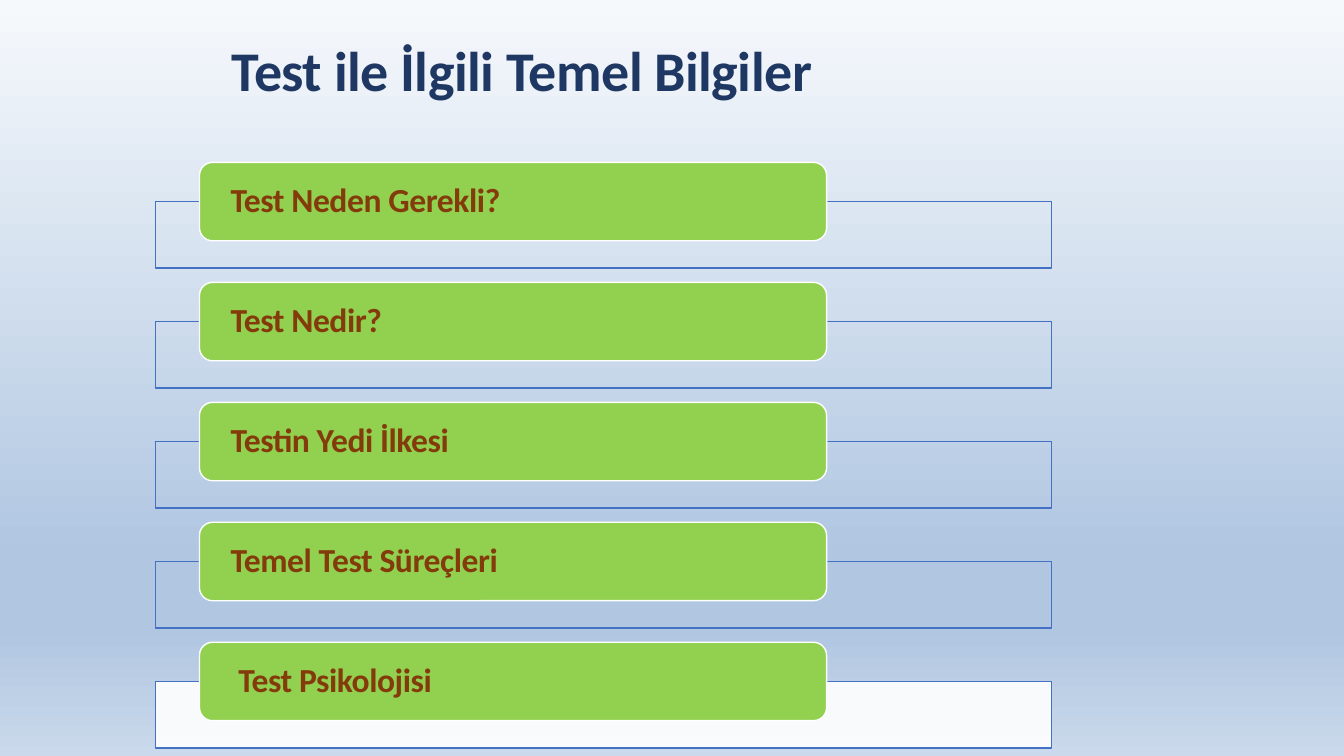
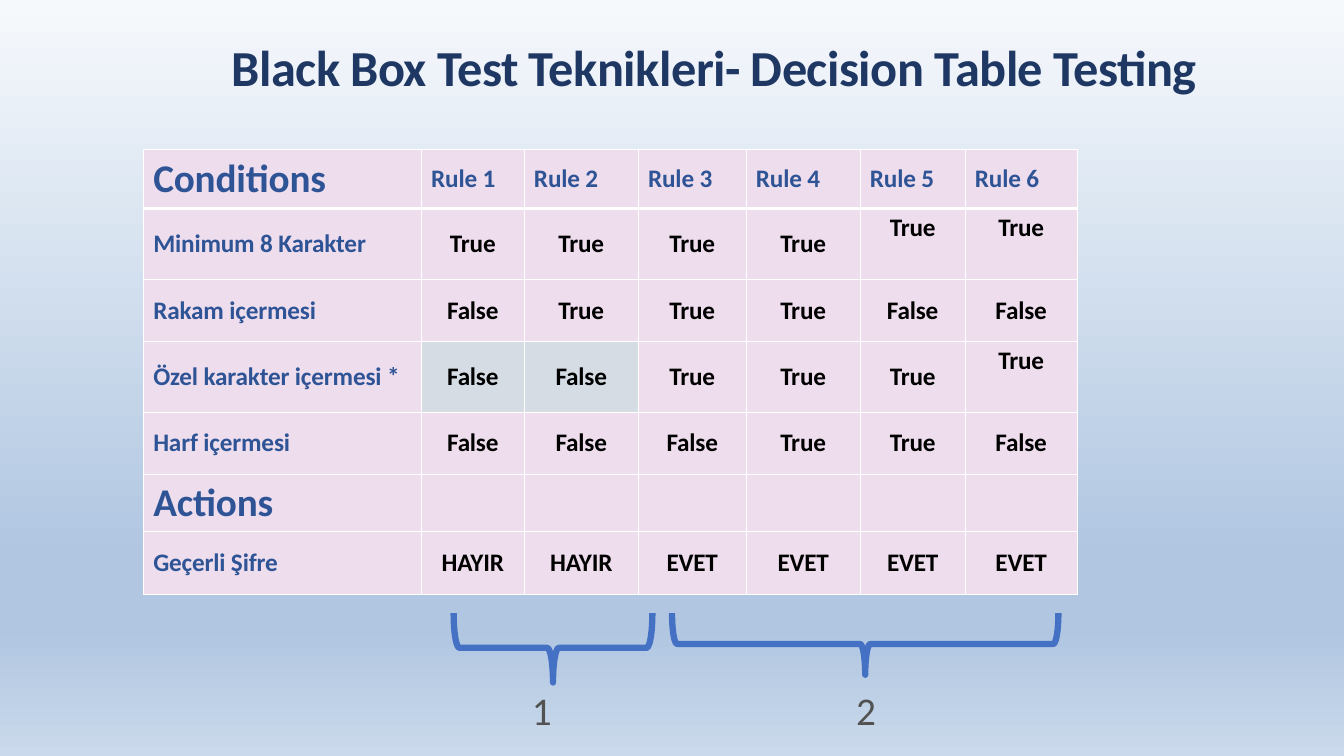
from dataclasses import dataclass

from lxml import etree
from pptx import Presentation
from pptx import util as u
from pptx.dml.color import RGBColor
from pptx.enum import shapes, text
from pptx.oxml.ns import qn

COLORS = {
    "navy": "1F3863",
    "blue": "2E5496",
    "outline": "4471C4",
    "green": "92D050",
    "brown": "843B0B",
    "gray": "525252",
    "black": "000000",
    "white": "FFFFFF",
    "pink": "EEDDED",
    "highlight": "D5DCE4",
}
SKY_STOPS = [(0, "F6F9FC"), (74, "B0C6E1"), (83, "B0C6E1"), (100, "CAD9EB")]


@dataclass(frozen=True)
class TextStyle:
    color: str
    font: dict
    spacing: float = 0


def text_style(color: str, size: float, bold: bool = True, spacing: float = 0) -> TextStyle:
    return TextStyle(color, {"name": "Calibri", "size": u.Pt(size), "bold": bold}, spacing)


STYLES = {
    "title": text_style("navy", 40, spacing=-0.35),
    "long_title": text_style("navy", 36, spacing=-0.4),
    "topic": text_style("brown", 24, spacing=-0.3),
    "group_number": text_style("gray", 28, bold=False),
    "section": text_style("blue", 28, spacing=-0.1),
    "label": text_style("blue", 18, spacing=-0.1),
    "value": text_style("black", 18, spacing=-0.15),
}


@dataclass(frozen=True)
class Box:
    left: float
    top: float
    width: float
    height: float

    def lengths(self) -> list:
        return [u.Pt(v) for v in (self.left, self.top, self.width, self.height)]


@dataclass(frozen=True)
class Topic:
    label: str
    indent: float = 19.5
    frame_filled: bool = False


@dataclass(frozen=True)
class RuleGroup:
    number: str
    brace: Box
    number_left: float


TOPICS = [
    Topic("Test Neden Gerekli?"),
    Topic("Test Nedir?"),
    Topic("Testin Yedi İlkesi"),
    Topic("Temel Test Süreçleri"),
    Topic("Test Psikolojisi", indent=25, frame_filled=True),
]
TOPIC_PITCH = 85.7

DECISIONS = [
    ["Conditions"] + [f"Rule {n}" for n in range(1, 7)],
    ["Minimum 8 Karakter"] + ["True"] * 6,
    ["Rakam içermesi", "False", "True", "True", "True", "False", "False"],
    ["Özel karakter içermesi *", "False", "False", "True", "True", "True", "True"],
    ["Harf içermesi", "False", "False", "False", "True", "True", "False"],
    ["Actions"] + [""] * 6,
    ["Geçerli Şifre", "HAYIR", "HAYIR", "EVET", "EVET", "EVET", "EVET"],
]
COLUMN_WIDTHS = [198.5, 73.5, 81.5, 77, 81.5, 75, 80]
ROW_HEIGHTS = [42.5, 50.5, 44.5, 50.5, 44.5, 41, 44.5]
SECTION_ROWS = {0, 5}
HIGHLIGHTED = {(3, 1), (3, 2)}
TOP_ALIGNED = {(1, 5), (1, 6), (3, 6)}

RULE_GROUPS = [
    RuleGroup("1", Box(324, 438, 142, 49.5), 380),
    RuleGroup("2", Box(480, 438, 276, 44), 611.5),
]


def rgb(name: str) -> RGBColor:
    return RGBColor.from_string(COLORS[name])


def apply_formats(target, formats: dict) -> None:
    for name, value in formats.items():
        setattr(target, name, value)


def write(frame, content: str, style: TextStyle, align=text.PP_ALIGN.LEFT, **formats) -> None:
    margins = {f"margin_{side}": 0 for side in ("left", "top", "right", "bottom")}
    apply_formats(frame, {**margins, "word_wrap": True, **formats})
    paragraph = frame.paragraphs[0]
    paragraph.alignment = align
    run = paragraph.add_run()
    run.text = content
    apply_formats(run.font, style.font)
    run.font.color.rgb = rgb(style.color)
    run._r.get_or_add_rPr().set("spc", str(round(style.spacing * 100)))


def add_text(slide, box: Box, content: str, style: TextStyle) -> None:
    frame = slide.shapes.add_textbox(*box.lengths()).text_frame
    write(frame, content, style, margin_top=u.Pt(1))


def add_title(slide, content: str, style: TextStyle) -> None:
    add_text(slide, Box(165.5, 24.5, 711, 50), content, style)


def add_outlined(slide, kind, box: Box, line: str, width: float = 1, fill: str = ""):
    shape = slide.shapes.add_shape(kind, *box.lengths())
    shape.shadow.inherit = False
    shape.line.color.rgb = rgb(line)
    shape.line.width = u.Pt(width)
    if fill:
        shape.fill.solid()
        shape.fill.fore_color.rgb = rgb(fill)
    else:
        shape.fill.background()
    return shape


def add_topic(slide, topic: Topic, top: float) -> None:
    frame = add_outlined(
        slide, shapes.MSO_SHAPE.RECTANGLE, Box(111, top + 28, 640, 47.5), "outline",
        fill="white" if topic.frame_filled else "",
    )
    if topic.frame_filled:
        fill_color = frame._element.spPr.find(qn("a:solidFill"))[0]
        etree.SubElement(fill_color, qn("a:alpha"), val="90000")
    pill = add_outlined(
        slide, shapes.MSO_SHAPE.ROUNDED_RECTANGLE, Box(142.5, top, 448, 56), "white", fill="green"
    )
    write(
        pill.text_frame, topic.label, STYLES["topic"], margin_left=u.Pt(topic.indent),
        margin_bottom=u.Pt(4), vertical_anchor=text.MSO_ANCHOR.MIDDLE,
    )


def set_borders(cell, row: int) -> None:
    properties = cell._tc.get_or_add_tcPr()
    widths = {"L": 1, "R": 1, "T": 3 if row == 1 else 1, "B": 3 if row == 0 else 1}
    for side, width in widths.items():
        border = etree.SubElement(properties, qn(f"a:ln{side}"), w=str(u.Pt(width)))
        fill = etree.SubElement(border, qn("a:solidFill"))
        etree.SubElement(fill, qn("a:srgbClr"), val=COLORS["white"])


def fill_cell(cell, row: int, column: int, content: str) -> None:
    set_borders(cell, row)
    cell.fill.solid()
    cell.fill.fore_color.rgb = rgb("highlight" if (row, column) in HIGHLIGHTED else "pink")
    is_label = row == 0 or column == 0
    at_top = (row, column) in TOP_ALIGNED
    apply_formats(cell, {
        "margin_left": u.Pt(7 if is_label else 0),
        "margin_right": 0,
        "margin_top": u.Pt(3 if at_top else 0),
        "margin_bottom": 0,
        "vertical_anchor": text.MSO_ANCHOR.TOP if at_top else text.MSO_ANCHOR.MIDDLE,
    })
    if not content:
        return
    style = "label" if is_label else "value"
    if column == 0 and row in SECTION_ROWS:
        style = "section"
    paragraph = cell.text_frame.paragraphs[0]
    paragraph.alignment = text.PP_ALIGN.LEFT if is_label else text.PP_ALIGN.CENTER
    run = paragraph.add_run()
    run.text = content
    apply_formats(run.font, STYLES[style].font)
    run.font.color.rgb = rgb(STYLES[style].color)
    run._r.get_or_add_rPr().set("spc", str(round(STYLES[style].spacing * 100)))


def add_decision_table(slide) -> None:
    box = Box(102.5, 106.5, sum(COLUMN_WIDTHS), sum(ROW_HEIGHTS))
    table = slide.shapes.add_table(len(ROW_HEIGHTS), len(COLUMN_WIDTHS), *box.lengths()).table
    apply_formats(table, {"first_row": False, "horz_banding": False})
    for column, width in zip(table.columns, COLUMN_WIDTHS):
        column.width = u.Pt(width)
    for row, height in zip(table.rows, ROW_HEIGHTS):
        row.height = u.Pt(height)
    for r, contents in enumerate(DECISIONS):
        for c, content in enumerate(contents):
            fill_cell(table.cell(r, c), r, c, content)


def add_rule_group(slide, group: RuleGroup) -> None:
    area = group.brace
    upright = Box(
        area.left + (area.width - area.height) / 2,
        area.top + (area.height - area.width) / 2,
        area.height,
        area.width,
    )
    brace = add_outlined(slide, shapes.MSO_SHAPE.RIGHT_BRACE, upright, "outline", 4.5)
    brace.rotation = 90
    add_text(slide, Box(group.number_left, 489.5, 16.5, 36), group.number, STYLES["group_number"])


def set_sky_background(master) -> None:
    fill = master.background.fill
    fill.gradient()
    fill.gradient_angle = 270
    stops = master.element.find(f".//{qn('p:bg')}//{qn('a:gsLst')}")
    for stop in list(stops):
        stops.remove(stop)
    for position, color in SKY_STOPS:
        stop = etree.SubElement(stops, qn("a:gs"), pos=str(position * 1000))
        etree.SubElement(stop, qn("a:srgbClr"), val=color)


def build_topics(slide) -> None:
    add_title(slide, "Test ile İlgili Temel Bilgiler", STYLES["title"])
    for index, topic in enumerate(TOPICS):
        add_topic(slide, topic, 116 + index * TOPIC_PITCH)


def build_decisions(slide) -> None:
    add_title(slide, "Black Box Test Teknikleri- Decision Table Testing", STYLES["long_title"])
    add_decision_table(slide)
    for group in RULE_GROUPS:
        add_rule_group(slide, group)


def main() -> None:
    prs = Presentation()
    apply_formats(prs, {"slide_width": u.Pt(960), "slide_height": u.Pt(540)})
    set_sky_background(prs.slide_master)
    for build in (build_topics, build_decisions):
        build(prs.slides.add_slide(prs.slide_layouts[6]))
    prs.save("out.pptx")


if __name__ == "__main__":
    main()
